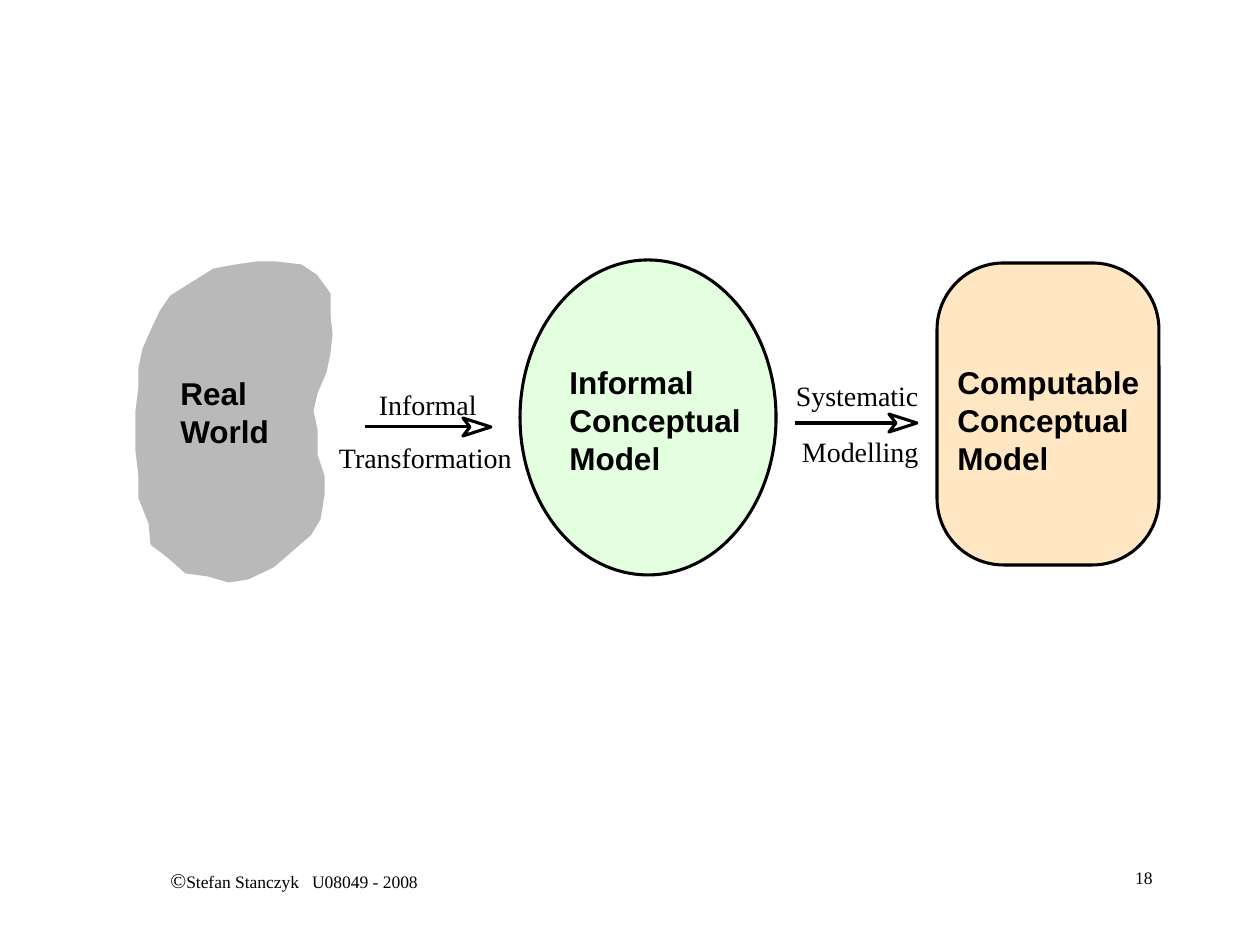
from lxml.etree import SubElement
from pptx import Presentation
from pptx.dml.color import RGBColor
from pptx.enum.shapes import MSO_CONNECTOR as CONNECTOR, MSO_SHAPE as SHAPE
from pptx.enum.text import MSO_AUTO_SIZE as AUTO_SIZE, PP_ALIGN as ALIGN
from pptx.oxml.ns import qn
from pptx.util import Emu, Pt

# Content: lengths in px, 126 px to the inch
COLORS = {"ink": "000000", "head": "FFFFFF", "world": "B9B9B9",
          "informal": "E3FFDF", "computable": "FFE7C4"}
SERIF, SANS = "Times New Roman", "Arial"

# Footer runs: text, size, letter spacing in hundredths of a point
AUTHOR_RUNS = [("©", 12, 0), ("Stefan Stanczyk", 10, 0),
               (" ", 10, 500), ("U08049 - 2008", 10, 0)]
FOOTERS = [((94, 861, 400, 63), ALIGN.CENTER, AUTHOR_RUNS),
           ((903, 861, 262, 63), ALIGN.RIGHT, [("18", 10, 0)])]

# Steps: arrow start, tip and height, head fill, labels with boxes
STEPS = [
    {"arrow": (795, 917, 423), "fill": "head",
     "labels": [("Modelling", (802, 435, 122, 34)),
                ("Systematic", (796, 379, 128, 34))]},
    {"arrow": (365, 491, 427), "fill": None,
     "labels": [("Informal", (379, 388, 102, 34)),
                ("Transformation", (339, 441, 178, 34))]},
]

WORLD_OUTLINE = [
    (329, 294), (316, 276), (301, 266), (276, 263), (257, 263), (236, 266),
    (214, 270), (190, 285), (171, 297), (161, 312), (152, 331), (144, 349),
    (140, 368), (140, 387), (137, 411), (137, 430), (137, 451), (140, 476),
    (140, 498), (150, 523), (152, 544), (168, 556), (186, 572), (208, 575),
    (229, 581), (248, 578), (273, 566), (295, 547), (310, 534), (319, 519),
    (323, 495), (323, 476), (316, 455), (316, 430), (312, 411), (316, 393),
    (325, 372), (329, 353), (331, 334), (329, 316)]
WORLD_TEXT = (["Real", "World"], (168, 368, 115, 88))

MODELS = [
    (SHAPE.OVAL, (520, 260, 256, 315), "informal",
     ["Informal", "Conceptual", "Model"], (557, 357, 197, 126)),
    (SHAPE.ROUNDED_RECTANGLE, (937, 263, 222, 302), "computable",
     ["Computable", "Conceptual", "Model"], (945, 357, 207, 126)),
]
CORNER = 0.3
HEAD_LENGTH, HEAD_NOTCH, HEAD_HALF = 28, 21, 9
LINE_WIDTH = Pt(1.75)


def px(length):
    return Emu(round(length * 914400 / 126))


def rgb(name):
    return RGBColor.from_string(COLORS[name])


prs = Presentation()
prs.slide_width, prs.slide_height = px(1260), px(945)
slide = prs.slides.add_slide(prs.slide_layouts[6])
shapes = slide.shapes


def paint(shape, fill, line="ink"):
    shape.shadow.inherit = False
    if fill:
        shape.fill.solid()
        shape.fill.fore_color.rgb = rgb(fill)
    else:
        shape.fill.background()
    shape.line.color.rgb = rgb(line)
    shape.line.width = LINE_WIDTH


def add_outline(points, fill, line="ink"):
    builder = shapes.build_freeform(*points[0], scale=914400 / 126)
    builder.add_line_segments(points[1:], close=True)
    paint(builder.convert_to_shape(), fill, line)


def add_run(paragraph, text, size, font, bold=False, spacing=0):
    run = paragraph.add_run()
    run.text = text
    run.font.size, run.font.name, run.font.bold = Pt(size), font, bold
    run.font.color.rgb = rgb("ink")
    if spacing:
        run.font._element.set("spc", str(spacing))


def add_text(box, lines, size, font, bold=False, inset=True):
    frame = shapes.add_textbox(*map(px, box)).text_frame
    frame.word_wrap = False
    frame.auto_size = AUTO_SIZE.SHAPE_TO_FIT_TEXT
    if not inset:
        frame.margin_left = frame.margin_right = 0
        frame.margin_top = frame.margin_bottom = 0
    for index, line in enumerate(lines):
        paragraph = frame.add_paragraph() if index else frame.paragraphs[0]
        paragraph.alignment = ALIGN.LEFT
        add_run(paragraph, line, size, font, bold)


def add_arrow(start, tip, y, fill):
    notch, back = tip - HEAD_NOTCH, tip - HEAD_LENGTH
    shaft = shapes.add_connector(CONNECTOR.STRAIGHT,
                                 px(start), px(y), px(notch), px(y))
    shaft.line.color.rgb = rgb("ink")
    shaft.line.width = LINE_WIDTH
    SubElement(shaft._element.spPr, qn("a:effectLst"))
    add_outline([(tip, y), (back, y + HEAD_HALF), (notch, y),
                 (back, y - HEAD_HALF)], fill)


# Footer
for box, align, runs in FOOTERS:
    frame = shapes.add_textbox(*map(px, box)).text_frame
    frame.word_wrap = True
    frame.paragraphs[0].alignment = align
    for text, size, spacing in runs:
        add_run(frame.paragraphs[0], text, size, SERIF, spacing=spacing)

# Steps between the stages
for step in STEPS:
    for label, box in step["labels"]:
        add_text(box, [label], 16, SERIF, inset=False)
    add_arrow(*step["arrow"], step["fill"])

# Real world
add_outline(WORLD_OUTLINE, "world", "world")
world_lines, world_box = WORLD_TEXT
add_text(world_box, world_lines, 18, SANS, bold=True)

# Models
for kind, box, fill, lines, text_box in MODELS:
    model = shapes.add_shape(kind, *map(px, box))
    if kind == SHAPE.ROUNDED_RECTANGLE:
        model.adjustments[0] = CORNER
    paint(model, fill)
    add_text(text_box, lines, 18, SANS, bold=True)

prs.save("out.pptx")
